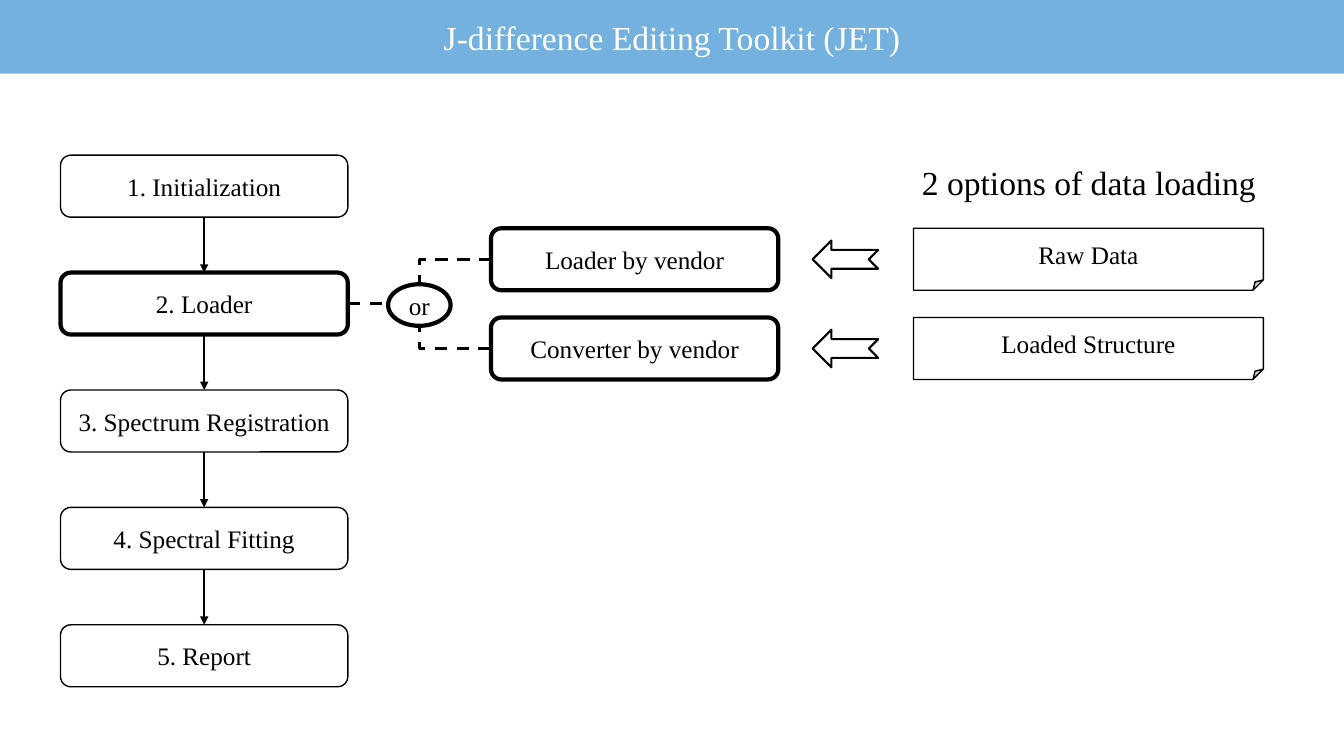
from dataclasses import dataclass

from lxml.etree import SubElement
from pptx import Presentation
from pptx.dml.color import RGBColor
from pptx.enum.dml import MSO_LINE
from pptx.enum.shapes import MSO_CONNECTOR, MSO_SHAPE
from pptx.enum.text import MSO_ANCHOR, MSO_AUTO_SIZE, PP_ALIGN
from pptx.oxml.ns import qn
from pptx.util import Inches, Pt

BLACK = RGBColor(0x00, 0x00, 0x00)
WHITE = RGBColor(0xFF, 0xFF, 0xFF)
BLUE = RGBColor(0x74, 0xB1, 0xDE)
FONT = "Times New Roman"
WIDE, HIGH = Inches(13.33), Inches(7.5)

# Connection sites of a box
TOP, LEFT, BOTTOM, RIGHT = range(4)


@dataclass
class Area:
    """A place on the slide, in percent of its width and height."""
    x: float
    y: float
    w: float
    h: float

    def emu(self) -> tuple[int, int, int, int]:
        return (round(WIDE * self.x / 100), round(HIGH * self.y / 100),
                round(WIDE * self.w / 100), round(HIGH * self.h / 100))


@dataclass
class Step:
    text: str
    line: float = 1


@dataclass
class Option:
    tool: str
    data: str


STEPS = [Step("1. Initialization"), Step("2. Loader", line=3),
         Step("3. Spectrum Registration"), Step("4. Spectral Fitting"),
         Step("5. Report")]
OPTIONS = [Option("Loader by vendor", "Raw Data"),
           Option("Converter by vendor", "Loaded Structure")]

# Grid: columns, first rows and row pitches in percent
STEP_X, TOOL_X, ARROW_X, DATA_X = 4.5, 36.53, 60.46, 67.97
STEP_Y, STEP_GAP = 20.53, 15.53
OPTION_Y, OPTION_GAP = 30.2, 11.8
BOX_W, DATA_W, BOX_H = 21.38, 26.03, 8.2
ARROW_W, ARROW_H = 4.88, 4.97


def write(shape, text: str, size: float = 18, color: RGBColor = BLACK) -> None:
    frame = shape.text_frame
    frame.text = text
    frame.word_wrap = True
    frame.auto_size = MSO_AUTO_SIZE.NONE
    frame.vertical_anchor = MSO_ANCHOR.MIDDLE
    line = frame.paragraphs[0]
    line.alignment = PP_ALIGN.CENTER
    font = line.runs[0].font
    font.name, font.size, font.color.rgb = FONT, Pt(size), color


def draw(slide, kind: MSO_SHAPE, area: Area, line: float = 1,
         text: str = "", size: float = 18):
    shape = slide.shapes.add_shape(kind, *area.emu())
    shape.shadow.inherit = False
    shape.fill.solid()
    shape.fill.fore_color.rgb = WHITE
    if line:
        shape.line.color.rgb = BLACK
        shape.line.width = Pt(line)
    else:
        shape.line.fill.background()
    if text:
        write(shape, text, size)
    return shape


def link(slide, kind: MSO_CONNECTOR, start, out: int, end, into: int,
         width: float):
    wire = slide.shapes.add_connector(kind, 0, 0, 0, 0)
    wire.begin_connect(start, out)
    wire.end_connect(end, into)
    wire.line.color.rgb = BLACK
    wire.line.width = Pt(width)
    SubElement(wire._element.spPr, qn("a:effectLst"))
    return wire


def add_title(slide) -> None:
    title = slide.shapes.title
    title.left, title.top, title.width, title.height = Area(0, 0, 100, 9.73).emu()
    title.fill.solid()
    title.fill.fore_color.rgb = BLUE
    write(title, "J-difference Editing Toolkit (JET)", size=24, color=WHITE)


def add_steps(slide) -> list:
    boxes = [draw(slide, MSO_SHAPE.ROUNDED_RECTANGLE,
                  Area(STEP_X, STEP_Y + i * STEP_GAP, BOX_W, BOX_H),
                  line=step.line, text=step.text)
             for i, step in enumerate(STEPS)]
    for start, end in zip(boxes, boxes[1:]):
        wire = link(slide, MSO_CONNECTOR.STRAIGHT, start, BOTTOM, end, TOP, 1.5)
        SubElement(wire.line._get_or_add_ln(), qn("a:tailEnd"), type="triangle")
    return boxes


def add_options(slide, loader) -> None:
    draw(slide, MSO_SHAPE.RECTANGLE, Area(67.44, 21.6, 27.16, 4.97), line=0,
         text="2 options of data loading", size=24)
    for i, option in enumerate(OPTIONS):
        y = OPTION_Y + i * OPTION_GAP
        tool = draw(slide, MSO_SHAPE.ROUNDED_RECTANGLE,
                    Area(TOOL_X, y, BOX_W, BOX_H), line=3, text=option.tool)
        arrow = draw(slide, MSO_SHAPE.NOTCHED_RIGHT_ARROW,
                     Area(ARROW_X, y + (BOX_H - ARROW_H) / 2, ARROW_W, ARROW_H),
                     line=1.5)
        arrow.rotation = 180
        draw(slide, MSO_SHAPE.FOLDED_CORNER, Area(DATA_X, y, DATA_W, BOX_H),
             text=option.data)
        wire = link(slide, MSO_CONNECTOR.ELBOW, loader, RIGHT, tool, LEFT, 2.25)
        wire.line.dash_style = MSO_LINE.DASH
    # The choice sits on top of both dashed lines
    draw(slide, MSO_SHAPE.OVAL, Area(28.88, 37.6, 4.65, 5.5), line=3, text="or")


def main() -> None:
    deck = Presentation()
    deck.slide_width, deck.slide_height = WIDE, HIGH
    slide = deck.slides.add_slide(deck.slide_layouts[5])
    add_title(slide)
    boxes = add_steps(slide)
    add_options(slide, loader=boxes[1])
    deck.save("out.pptx")


if __name__ == "__main__":
    main()
